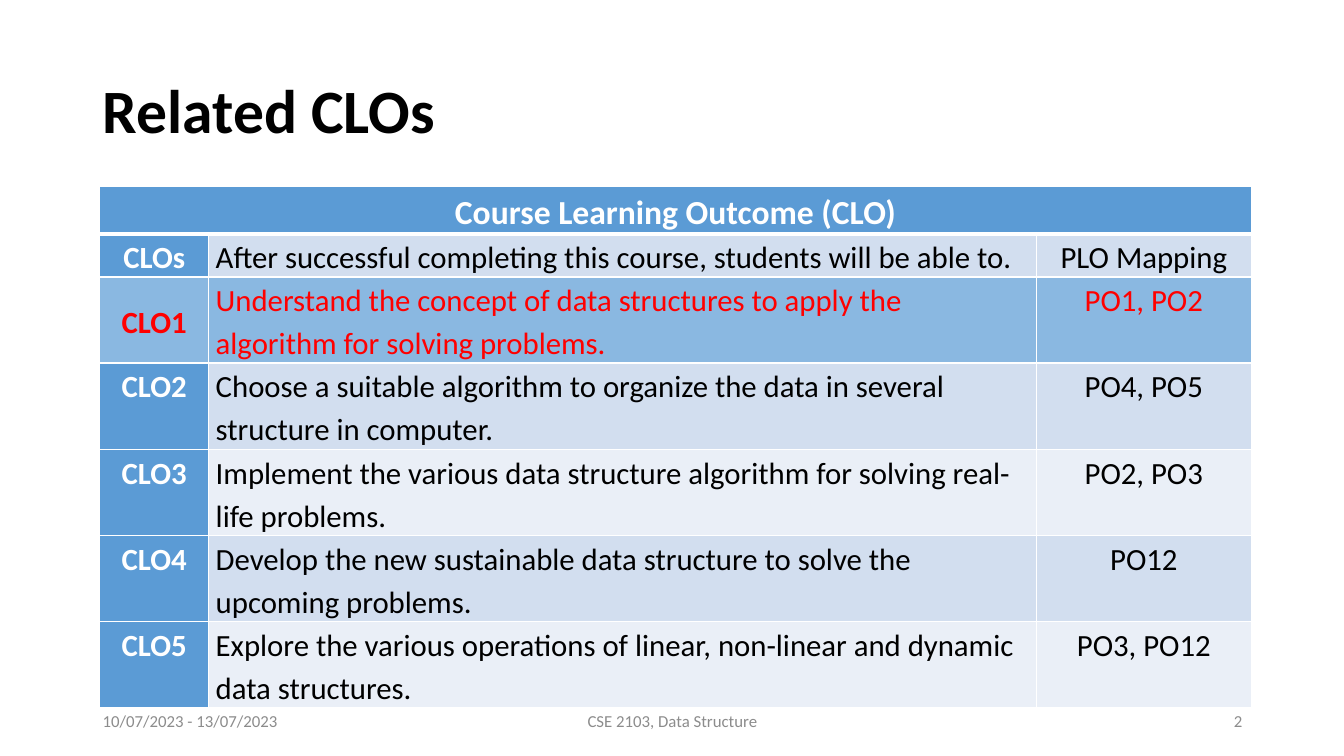
from lxml.etree import SubElement
from pptx import Presentation
from pptx.dml.color import RGBColor
from pptx.enum.text import MSO_ANCHOR, PP_ALIGN
from pptx.oxml.ns import qn
from pptx.util import Inches, Pt

BLUE = RGBColor(0x5B, 0x9B, 0xD5)
BAND_DARK = RGBColor(0xD2, 0xDE, 0xEF)
BAND_LIGHT = RGBColor(0xEA, 0xEF, 0xF7)
WHITE = RGBColor(0xFF, 0xFF, 0xFF)
BLACK = RGBColor(0, 0, 0)
RED = RGBColor(0xFF, 0, 0)
GRAY = RGBColor(0x8C, 0x8C, 0x8C)

LEFT, CENTER, RIGHT = PP_ALIGN.LEFT, PP_ALIGN.CENTER, PP_ALIGN.RIGHT
TOP, MIDDLE = MSO_ANCHOR.TOP, MSO_ANCHOR.MIDDLE

HEADING = "Course Learning Outcome (CLO)"
OUTCOMES = [
    ("CLOs", "After successful completing this course, students will be able to.",
     "PLO Mapping"),
    ("CLO1", "Understand the concept of data structures to apply the algorithm "
     "for solving problems.", "PO1, PO2"),
    ("CLO2", "Choose a suitable algorithm to organize the data in several "
     "structure in computer.", "PO4, PO5"),
    ("CLO3", "Implement the various data structure algorithm for solving "
     "real-life problems.", "PO2, PO3"),
    ("CLO4", "Develop the new sustainable data structure to solve the upcoming "
     "problems.", "PO12"),
    ("CLO5", "Explore the various operations of linear, non-linear and dynamic "
     "data structures.", "PO3, PO12"),
]
HIGHLIGHT = 2
COL_WIDTHS = [1.08, 8.21, 2.13]
ROW_HEIGHTS = [0.47, 0.42] + [0.85] * 5


def write(tf, text, size, color, align=LEFT, bold=False, spacing=1.0):
    """Fill a text frame with one formatted paragraph."""
    p = tf.paragraphs[0]
    p.alignment, p.line_spacing = align, spacing
    r = p.add_run()
    r.text = text
    r.font.color.rgb = color
    for name, value in {"name": "Calibri", "size": Pt(size), "bold": bold}.items():
        setattr(r.font, name, value)


def set_borders(cell, **widths):
    """Draw white borders of the given point widths around a cell."""
    tc_pr = cell._tc.get_or_add_tcPr()
    for side in ("lnL", "lnR", "lnT", "lnB"):
        ln = SubElement(tc_pr, qn(f"a:{side}"), w=str(Pt(widths.get(side, 1))))
        fill = SubElement(ln, qn("a:solidFill"))
        SubElement(fill, qn("a:srgbClr"), val=str(WHITE))


def fill_cell(cell, color, alpha=None):
    """Give a cell a solid fill, see-through if alpha is a percentage."""
    cell.fill.solid()
    cell.fill.fore_color.rgb = color
    if alpha:
        clr = cell._tc.tcPr.find(f"{qn('a:solidFill')}/{qn('a:srgbClr')}")
        SubElement(clr, qn("a:alpha"), val=str(alpha * 1000))


def format_cell(cell, anchor):
    """Set the margins and the vertical anchor of a cell."""
    layout = {"margin_left": Inches(0.07), "margin_right": Inches(0.07),
              "margin_top": 0, "margin_bottom": 0, "vertical_anchor": anchor}
    for name, value in layout.items():
        setattr(cell, name, value)


def add_title(s, x, y, w, h):
    """Place the slide title in its placeholder."""
    title = s.shapes.title
    box = {"left": x, "top": y, "width": w, "height": h}
    for name, value in box.items():
        setattr(title, name, Inches(value))
    title.text_frame.vertical_anchor = MIDDLE
    write(title.text_frame, "Related CLOs", 44, BLACK, bold=True, spacing=0.9)


def add_outcomes(s, x, y, w, h):
    """Build the table of learning outcomes in the given box."""
    table = s.shapes.add_table(len(ROW_HEIGHTS), len(COL_WIDTHS), Inches(x),
                               Inches(y), Inches(w), Inches(h)).table
    for col, width in zip(table.columns, COL_WIDTHS):
        col.width = Inches(width)
    for row, height in zip(table.rows, ROW_HEIGHTS):
        row.height = Inches(height)

    for cell in table.rows[0].cells:
        set_borders(cell, lnB=3)
        fill_cell(cell, BLUE)
        format_cell(cell, TOP)
    head = table.cell(0, 0)
    head.merge(table.cell(0, 2))
    write(head.text_frame, HEADING, 24, WHITE, CENTER, True, 1.15)

    for i, texts in enumerate(OUTCOMES, 1):
        for j, text in enumerate(texts):
            cell = table.cell(i, j)
            set_borders(cell, lnT=3 if i == 1 else 1)
            if i == HIGHLIGHT:
                fill_cell(cell, BLUE, 71)
                color = RED
            else:
                band = BAND_LIGHT if i in (4, 6) else BAND_DARK
                fill_cell(cell, band if j else BLUE)
                color = BLACK if j else WHITE
            centred = (i == 1 and j < 2) or (i == HIGHLIGHT and j == 0)
            format_cell(cell, MIDDLE if centred else TOP)
            write(cell.text_frame, text, 22, color, LEFT if j == 1 else CENTER,
                  j == 0, 1.15)


def add_footer(s, x, y, w, h):
    """Place date, course and page number along the given strip."""
    side, middle = 3, 4.5
    parts = [("10/07/2023 - 13/07/2023", x, side, LEFT),
             ("CSE 2103, Data Structure", x + (w - middle) / 2, middle, CENTER),
             ("2", x + w - side, side, RIGHT)]
    for text, left, width, align in parts:
        tf = s.shapes.add_textbox(Inches(left), Inches(y), Inches(width),
                                  Inches(h)).text_frame
        tf.word_wrap, tf.vertical_anchor = True, MIDDLE
        write(tf, text, 12, GRAY, align)


def main():
    """Build and save the slide."""
    prs = Presentation()
    prs.slide_width, prs.slide_height = Inches(13.33), Inches(7.5)
    s = prs.slides.add_slide(prs.slide_layouts[5])
    add_title(s, 0.92, 0.4, 11.5, 1.45)
    add_outcomes(s, 0.99, 1.85, sum(COL_WIDTHS), sum(ROW_HEIGHTS))
    add_footer(s, 0.92, 6.95, 11.5, 0.4)
    prs.save("out.pptx")


if __name__ == "__main__":
    main()
